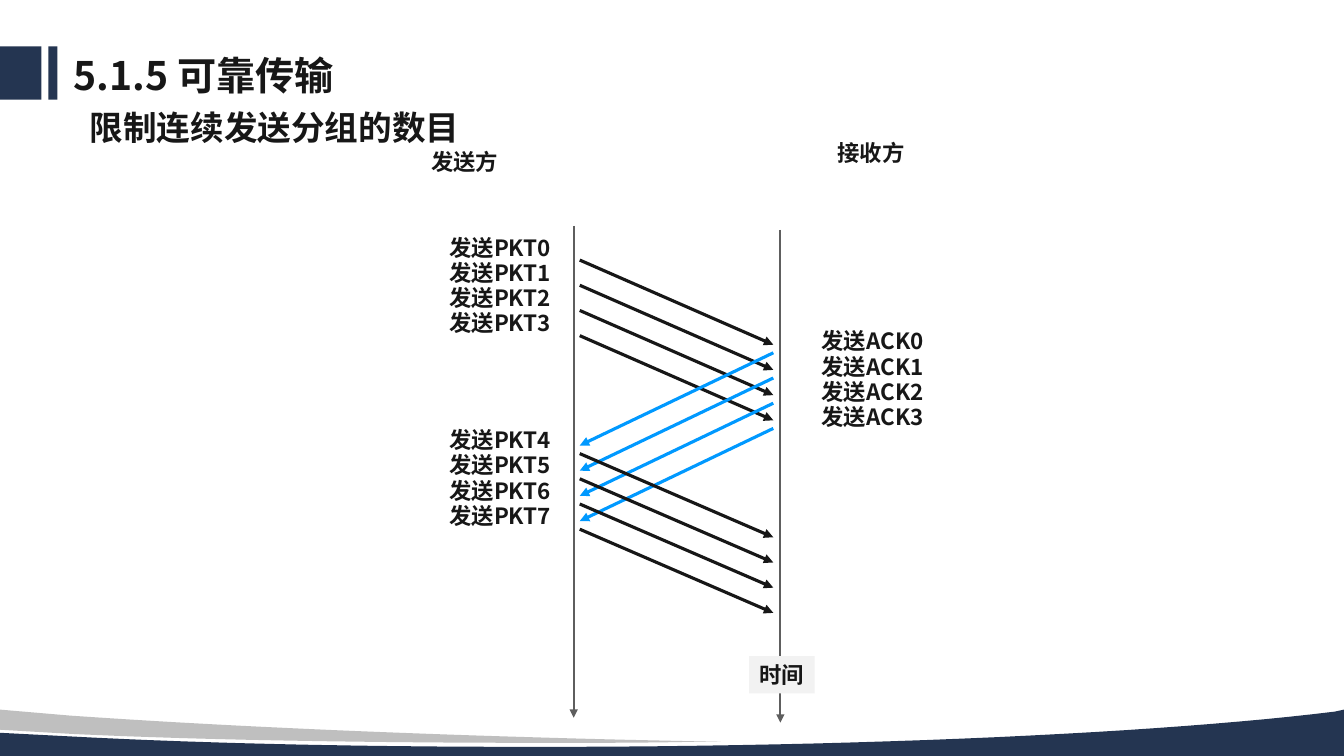
from dataclasses import dataclass

from lxml.etree import SubElement
from pptx import Presentation
from pptx.dml.color import RGBColor
from pptx.enum.shapes import MSO_CONNECTOR, MSO_SHAPE
from pptx.enum.text import MSO_ANCHOR, MSO_AUTO_SIZE, PP_ALIGN
from pptx.oxml.ns import qn
from pptx.util import Inches, Pt


@dataclass(frozen=True)
class Theme:
    """Colours, fonts and type sizes of the slide."""
    navy: str = "243551"
    silver: str = "BFBFBF"
    ink: str = "171717"
    axis: str = "5E5E5E"
    reply: str = "0099FF"
    tag: str = "F2F2F2"
    title_font: str = "Noto Sans CJK SC"
    text_font: str = "Noto Sans CJK JP"
    title_size: int = 28
    subtitle_size: int = 24
    label_size: int = 16


def apply(target, values):
    """Set each attribute named in values on the target."""
    for name, value in values.items():
        setattr(target, name, value)


def bezier(points, steps=24):
    """Return points along a cubic curve, without its start."""
    curve = []
    for step in range(1, steps + 1):
        t = step / steps
        weights = ((1 - t) ** 3, 3 * t * (1 - t) ** 2, 3 * t ** 2 * (1 - t), t ** 3)
        curve.append(tuple(sum(w * p[axis] for w, p in zip(weights, points)) for axis in (0, 1)))
    return curve


class Page:
    """Draws styled elements on one slide."""

    def __init__(self, slide, theme):
        """Keep the slide and its theme."""
        self.slide = slide
        self.shapes = slide.shapes
        self.theme = theme

    def put_text(self, box, text, size, font, frame, paragraph):
        """Put one bold paragraph into a shape."""
        apply(box.text_frame, frame)
        para = box.text_frame.paragraphs[0]
        apply(para, paragraph)
        span = para.add_run()
        span.text = text
        apply(span.font, {"size": Pt(size), "bold": True, "name": font})
        span.font.color.rgb = RGBColor.from_string(self.theme.ink)
        SubElement(span.font._element, qn("a:ea")).set("typeface", font)

    def title(self, text, area):
        """Fill and place the title placeholder."""
        box = self.shapes.title
        apply(box, dict(zip(("left", "top", "width", "height"), map(Inches, area))))
        self.put_text(box, text, self.theme.title_size, self.theme.title_font,
                      {"vertical_anchor": MSO_ANCHOR.MIDDLE, "word_wrap": True},
                      {"alignment": PP_ALIGN.LEFT, "line_spacing": 0.9})

    def subtitle(self, text, area):
        """Add the heading below the title."""
        box = self.shapes.add_textbox(*map(Inches, area))
        self.put_text(box, text, self.theme.subtitle_size, self.theme.text_font,
                      {"vertical_anchor": MSO_ANCHOR.MIDDLE, "word_wrap": True,
                       "margin_left": Inches(0.13), "margin_right": Inches(0.13),
                       "margin_top": Inches(0.07), "margin_bottom": Inches(0.07)},
                      {"alignment": PP_ALIGN.LEFT})

    def label(self, text, area, fill=None, **frame):
        """Add a centred label, with a fill if one is given."""
        box = self.shapes.add_textbox(*map(Inches, area))
        if fill:
            self.paint(box, fill)
        self.put_text(box, text, self.theme.label_size, self.theme.text_font,
                      {"word_wrap": False, "auto_size": MSO_AUTO_SIZE.SHAPE_TO_FIT_TEXT, **frame},
                      {"alignment": PP_ALIGN.CENTER})

    def paint(self, shape, colour):
        """Give a shape a plain fill and no outline."""
        shape.fill.solid()
        shape.fill.fore_color.rgb = RGBColor.from_string(colour)
        shape.line.fill.background()

    def block(self, area, colour):
        """Add a plain rectangle."""
        shape = self.shapes.add_shape(MSO_SHAPE.RECTANGLE, *map(Inches, area))
        shape.shadow.inherit = False
        self.paint(shape, colour)

    def wave(self, start, segments, colour):
        """Add a closed outline of straight (2 values) and curved (6 values) segments."""
        outline = [start]
        for segment in segments:
            ends = list(zip(segment[::2], segment[1::2]))
            outline += ends if len(ends) == 1 else bezier([outline[-1], *ends])
        corners = [(Inches(x), Inches(y)) for x, y in outline]
        builder = self.shapes.build_freeform(*corners[0])
        builder.add_line_segments(corners[1:], close=True)
        shape = builder.convert_to_shape()
        shape.shadow.inherit = False
        self.paint(shape, colour)

    def arrow(self, start, end, colour, weight):
        """Add a straight arrow from start to end."""
        line = self.shapes.add_connector(MSO_CONNECTOR.STRAIGHT, *map(Inches, start + end))
        line.line.color.rgb = RGBColor.from_string(colour)
        line.line.width = Pt(weight)
        properties = line._element.spPr
        SubElement(properties.find(qn("a:ln")), qn("a:tailEnd")).set("type", "triangle")
        SubElement(properties, qn("a:effectLst"))

    def burst(self, message, first, label_area, start, end, colour):
        """Add four numbered messages with their arrows."""
        left, top, width, height = label_area
        margins = dict.fromkeys(("margin_left", "margin_right", "margin_top", "margin_bottom"), 0)
        for index in range(4):
            shift = index * 0.25
            self.label(f"发送{message}{first + index}", (left, top + shift, width, height),
                       **{**margins, "word_wrap": True})
            self.arrow((start[0], start[1] + shift), (end[0], end[1] + shift), colour, 2.25)


def main():
    """Build and save the slide."""
    deck = Presentation()
    deck.slide_width, deck.slide_height = Inches(13.33), Inches(7.5)
    theme = Theme()
    page = Page(deck.slides.add_slide(deck.slide_layouts[5]), theme)

    page.block((0, 0.46, 0.41, 0.53), theme.navy)
    page.block((0.48, 0.46, 0.09, 0.53), theme.navy)
    page.wave((13.33, 7.04), [(13.33, 7.5), (0, 7.5), (0, 7.27), (0.77, 7.31),
                              (2.12, 7.38, 3.67, 7.41, 5.32, 7.41),
                              (8.62, 7.41, 11.53, 7.27, 13.24, 7.06)], theme.navy)
    page.wave((0, 7.04), [(0.7, 7.1), (2.29, 7.21, 4.17, 7.29, 6.22, 7.34),
                          (7.15, 7.36), (6.84, 7.36),
                          (6.4, 7.37, 5.94, 7.37, 5.48, 7.37),
                          (3.61, 7.37, 1.92, 7.34, 0.69, 7.28), (0, 7.24)], theme.silver)

    page.title("5.1.5 可靠传输", (0.63, 0.51, 9.98, 0.52))
    page.subtitle("限制连续发送分组的数目", (0.76, 1.03, 5.83, 0.47))
    page.label("发送方", (4.17, 1.42, 0.88, 0.37))
    page.label("接收方", (8.2, 1.33, 0.88, 0.37))

    page.arrow((5.69, 2.24), (5.69, 7.12), theme.axis, 1.5)
    page.arrow((7.74, 2.28), (7.74, 7.17), theme.axis, 1.5)
    page.label("时间", (7.43, 6.51, 0.65, 0.37), theme.tag)

    sender, receiver = 5.75, 7.67
    page.burst("PKT", 0, (4, 2.32, 1.92, 0.27), (sender, 2.58), (receiver, 3.42), theme.ink)
    page.burst("ACK", 0, (7.89, 3.25, 1.53, 0.27), (receiver, 3.5), (sender, 4.42), theme.reply)
    page.burst("PKT", 4, (4, 4.23, 1.92, 0.27), (sender, 4.5), (receiver, 5.33), theme.ink)

    deck.save("out.pptx")


if __name__ == "__main__":
    main()
